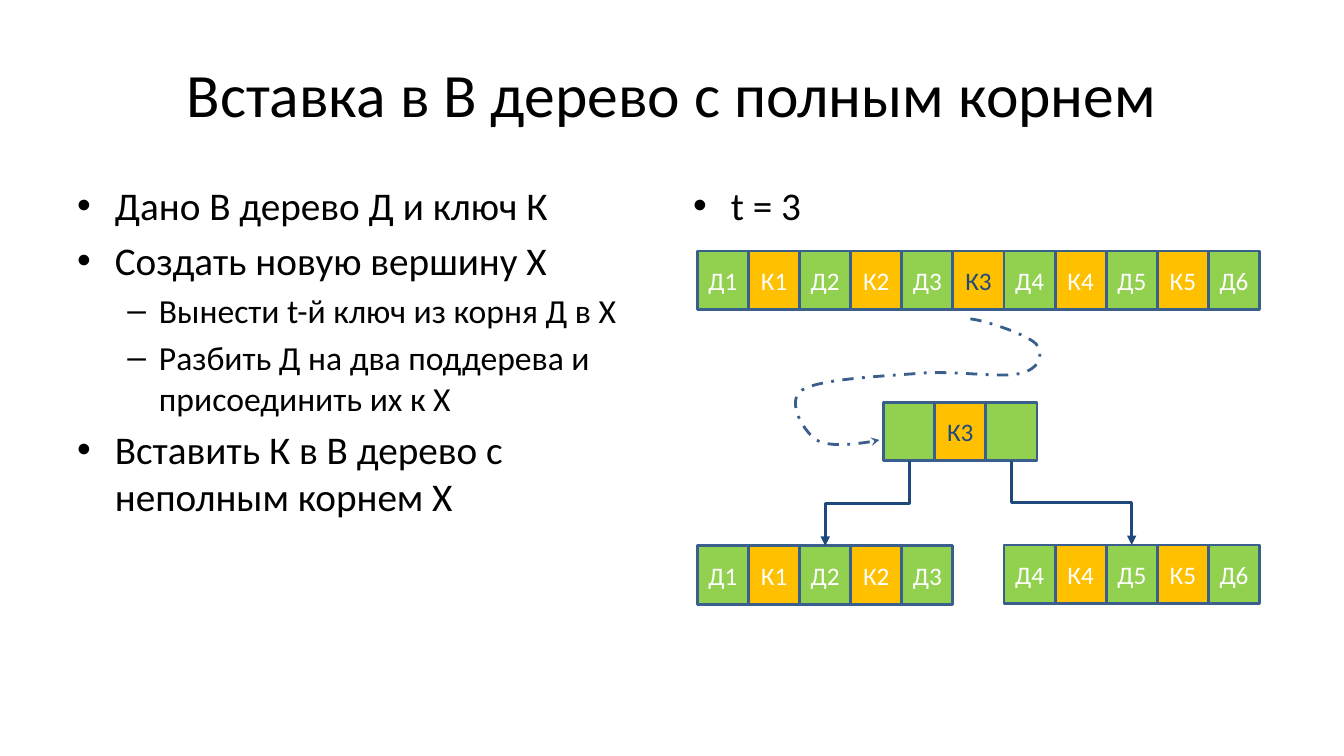
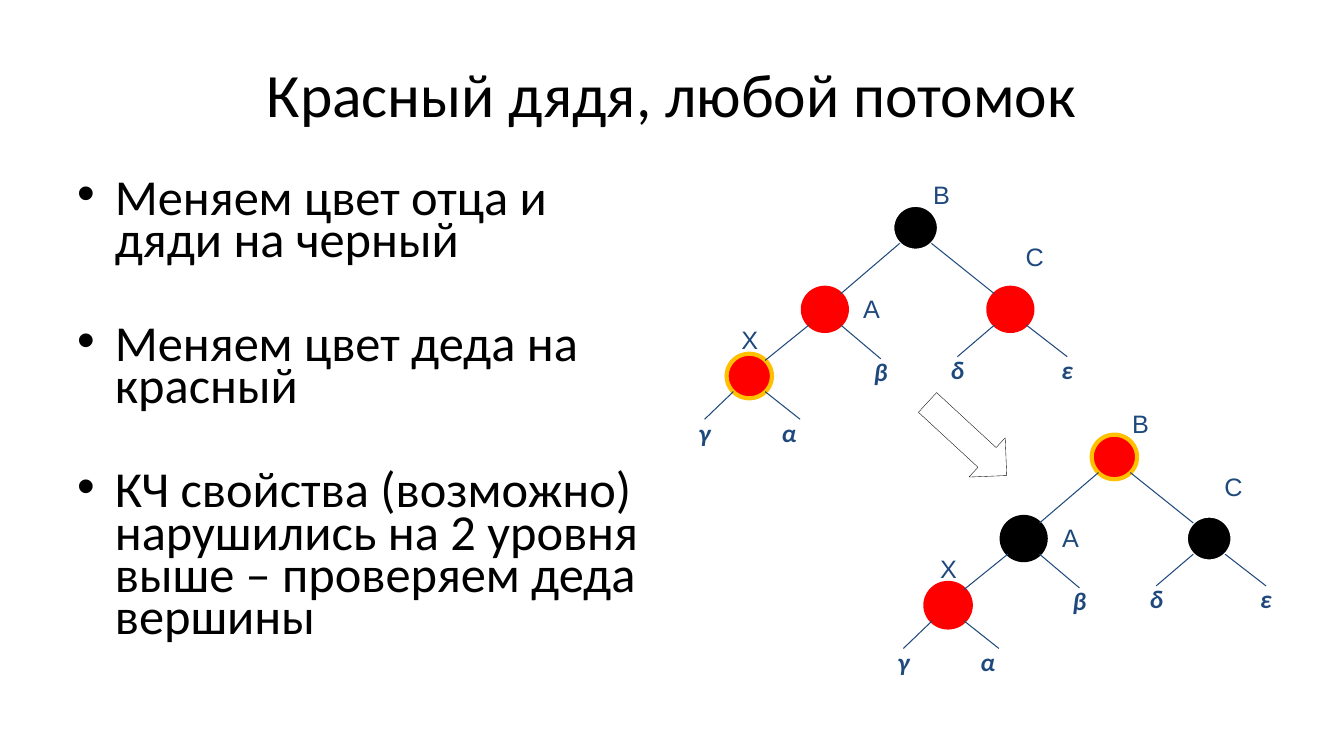
from lxml import etree
from pptx import Presentation
from pptx.dml.color import RGBColor
from pptx.enum import dml, shapes, text
from pptx.oxml.ns import qn
from pptx.util import Pt

BLACK, WHITE, RED = "000000", "FFFFFF", "FF0000"
GREEN, GOLD, NAVY, STEEL = "92D050", "FFC000", "1F497D", "3A5F8C"
KIND, LINK = shapes.MSO_SHAPE, shapes.MSO_CONNECTOR
MID, TOP = text.MSO_ANCHOR.MIDDLE, text.MSO_ANCHOR.TOP
LEFT, CENTER = text.PP_ALIGN.LEFT, text.PP_ALIGN.CENTER
HEAD = (48, 21.6, 864, 90)
BODY = (48, 126, 424, 356.4)
SIDE = (488, 126, 424, 356.4)
LEVELS = [(28, 27, -27, "•"), (24, 58.5, -22.5, "–")]
CELL_W, CELL_H = 36.5, 41.8
NODE_W, NODE_H = 32.4, 31.8
LEAF_W, LEAF_H = 19, 18


def color(code):
    return RGBColor.from_string(code)


def pts(*nums):
    return [Pt(n) for n in nums]


def ink(line, code, width):
    line.color.rgb = color(code)
    line.width = Pt(width)


def tip(shape, kind):
    ln = shape._element.spPr.find(qn("a:ln"))
    etree.SubElement(ln, qn("a:tailEnd"), type=kind)


def write(par, words, size, code, font="Calibri", strong=False):
    run = par.add_run()
    run.text = words
    face = run.font
    face.size, face.name = Pt(size), font
    face.color.rgb = color(code)
    if strong:
        face.bold = face.italic = True


def frame(shape, pad, anchor, wrap=True):
    tf = shape.text_frame
    tf.margin_left = tf.margin_right = Pt(pad)
    tf.margin_top = tf.margin_bottom = Pt(pad / 2)
    tf.vertical_anchor = anchor
    tf.word_wrap = wrap
    return tf


def label(area, box, words, size, code, pad=0, anchor=MID, align=CENTER,
          wrap=False, **look):
    par = frame(area.add_textbox(*pts(*box)), pad, anchor, wrap).paragraphs[0]
    par.alignment = align
    write(par, words, size, code, **look)


def solid(area, kind, box, fill, edge, width):
    shape = area.add_shape(kind, *pts(*box))
    shape.shadow.inherit = False
    if fill:
        shape.fill.solid()
        shape.fill.fore_color.rgb = color(fill)
    else:
        shape.fill.background()
    ink(shape.line, edge, width)
    return shape


def link(area, kind, start, end, width):
    wire = area.add_connector(kind, *pts(*start, *end))
    ink(wire.line, NAVY, width)
    etree.SubElement(wire._element.spPr, qn("a:effectLst"))
    return wire


def points(area, box, items, size=None, gap=None, lead=None):
    tf = frame(area.add_textbox(*pts(*box)), 7.2, TOP)
    for i, (level, words) in enumerate(items):
        base, left, hang, mark = LEVELS[level]
        high = size or base
        par = tf.paragraphs[0] if i == 0 else tf.add_paragraph()
        par.level = level
        props = par._p.get_or_add_pPr()
        props.set("marL", str(Pt(left)))
        props.set("indent", str(Pt(hang)))
        etree.SubElement(props, qn("a:buFont"), typeface="Arial")
        etree.SubElement(props, qn("a:buChar"), char=mark)
        if lead:
            par.line_spacing = lead
        if i:
            par.space_before = Pt(gap or high * 0.2)
        write(par, words, high, BLACK)


def page(deck, title):
    area = deck.slides.add_slide(deck.slide_layouts[6]).shapes
    label(area, HEAD, title, 44, BLACK, pad=7.2, wrap=True)
    return area


def row(area, x, y, names):
    group = area.add_group_shape().shapes
    cells = []
    for i, name in enumerate(names):
        box = (x + i * CELL_W, y, CELL_W, CELL_H)
        cell = solid(group, KIND.RECTANGLE, box, GOLD if i % 2 else GREEN, STEEL, 2)
        if name:
            par = frame(cell, 0, MID).paragraphs[0]
            par.alignment = CENTER
            write(par, name, 18, NAVY if name == "К3" else WHITE)
        cells.append(cell)
    return cells


def drop(area, above, below):
    wire = link(area, LINK.ELBOW, (0, 0), (0, 0), 2.25)
    wire.begin_connect(above, 2)
    wire.end_connect(below, 0)
    x1, y1, x2, y2 = wire.begin_x, wire.begin_y, wire.end_x, wire.end_y
    wide, tall = abs(x2 - x1), y2 - y1
    wire.left, wire.top = (x1 + x2 - tall) // 2, (y1 + y2 - wide) // 2
    wire.width, wire.height = tall, wide
    right = x2 > x1
    form = wire._element.spPr.find(qn("a:xfrm"))
    form.set("rot", "16200000" if right else "5400000")
    form.set("flipH", "1" if right else "0")
    tip(wire, "triangle")


def curve(area, x, y, spots):
    spots = [pts(x + a, y + b) for a, b in spots]
    maker = area.build_freeform(*spots[0], scale=1.0)
    maker.add_line_segments(spots[1:], close=False)
    shape = maker.convert_to_shape()
    track = shape._element.find(".//" + qn("a:path"))
    legs = track.findall(qn("a:lnTo"))
    for i in range(0, len(legs), 3):
        bend = etree.SubElement(track, qn("a:cubicBezTo"))
        for leg in legs[i:i + 3]:
            bend.append(leg[0])
            track.remove(leg)
    shape.shadow.inherit = False
    shape.fill.background()
    ink(shape.line, STEEL, 2)
    shape.line.dash_style = dml.MSO_LINE.DASH_DOT
    tip(shape, "stealth")


def split(area, x, y):
    names = "Д1 К1 Д2 К2 Д3 К3 Д4 К4 Д5 К5 Д6".split()
    row(area, x, y, names)
    low = y + 210.6
    less = row(area, x, low, names[:5])
    more = row(area, x + 6 * CELL_W, low - 0.6, names[6:])
    root = row(area, x + 133, y + 108, ["", "К3", ""])
    drop(area, root[0], less[2])
    drop(area, root[2], more[2])
    curve(area, x, y, [
        (195, 48.5),
        (207, 50), (236, 60), (242, 66.5),
        (248, 74), (244, 84.5), (230.5, 87.5),
        (216, 91), (183, 85), (157, 87.5),
        (131, 89.5), (86.5, 91.5), (74.5, 99.5),
        (63, 107.5), (76, 129), (85, 135),
        (94.5, 140.5), (122, 137), (130, 135)])


NODES = {"B": (143.3, 22.3), "A": (78.5, 80.6), "C": (211, 80.6), "X": (24.5, 128.2)}
NAMES = {"B": (165, 0), "A": (115, 81.4), "C": (231, 44.6), "X": (28, 103.7)}
EDGES = [("B", "A"), ("B", "C"), ("A", "X")]
LEAVES = [("A", "β", 134.6, 131.8, 0), ("C", "δ", 189.4, 130.3, 0),
          ("C", "ε", 267.8, 130.3, 0), ("X", "γ", 8.8, 175, 0),
          ("X", "α", 77, 175, -8)]


def rim(name, right, low):
    x, y = NODES[name]
    return (x + NODE_W * (0.85 if right else 0.15),
            y + NODE_H * (0.85 if low else 0.15))


def tree(area, x, y, looks):
    group = area.add_group_shape().shapes

    def edge(start, end):
        link(group, LINK.STRAIGHT, (x + start[0], y + start[1]),
             (x + end[0], y + end[1]), 0.75)

    for name, (dx, dy) in NODES.items():
        solid(group, KIND.OVAL, (x + dx, y + dy, NODE_W, NODE_H), *looks[name])
    for top, sub in EDGES:
        right = NODES[sub][0] > NODES[top][0]
        edge(rim(top, right, True), rim(sub, not right, False))
    for top, name, dx, dy, shift in LEAVES:
        edge(rim(top, dx > NODES[top][0] + NODE_W / 2, True), (dx, dy))
        box = (x + dx + shift - LEAF_W / 2, y + dy, LEAF_W, LEAF_H)
        label(group, box, name, 18, NAVY, strong=True)
    for name, (dx, dy) in NAMES.items():
        label(group, (x + dx, y + dy, 27, 28), name, 18, NAVY, pad=7.2,
              anchor=TOP, align=LEFT, font="Arial")


def insert(deck):
    area = page(deck, "Вставка в В дерево с полным корнем")
    points(area, BODY, [
        (0, "Дано В дерево Д и ключ К"),
        (0, "Создать новую вершину Х"),
        (1, "Вынести t-й ключ из корня Д в Х"),
        (1, "Разбить Д на два поддерева и присоединить их к Х"),
        (0, "Вставить К в В дерево с неполным корнем Х")])
    points(area, SIDE, [(0, "t = 3")])
    split(area, 498.2, 179.3)


def recolor(deck):
    area = page(deck, "Красный дядя, любой потомок")
    points(area, BODY, [
        (0, "Меняем цвет отца и дяди на черный"),
        (0, "Меняем цвет деда на красный"),
        (0, "КЧ свойства (возможно) нарушились на 2 уровня выше – "
            "проверяем деда вершины")], size=36, gap=44, lead=0.7)
    dark, red, mark = (BLACK, WHITE, 2), (RED, RED, 2), (RED, GOLD, 3)
    tree(area, 494.5, 124.5, {"B": dark, "A": red, "C": red, "X": mark})
    tree(area, 636.5, 288.2, {"B": mark, "A": (BLACK, BLACK, 2), "C": dark,
                              "X": (RED, RED, 3)})
    arrow = solid(area, KIND.RIGHT_ARROW, (652.3, 294.5, 77, 38.2), None, BLACK, 0.25)
    arrow.rotation = 42.7


def main():
    deck = Presentation()
    deck.slide_width, deck.slide_height = pts(960, 540)
    insert(deck)
    recolor(deck)
    deck.save("out.pptx")


if __name__ == "__main__":
    main()
